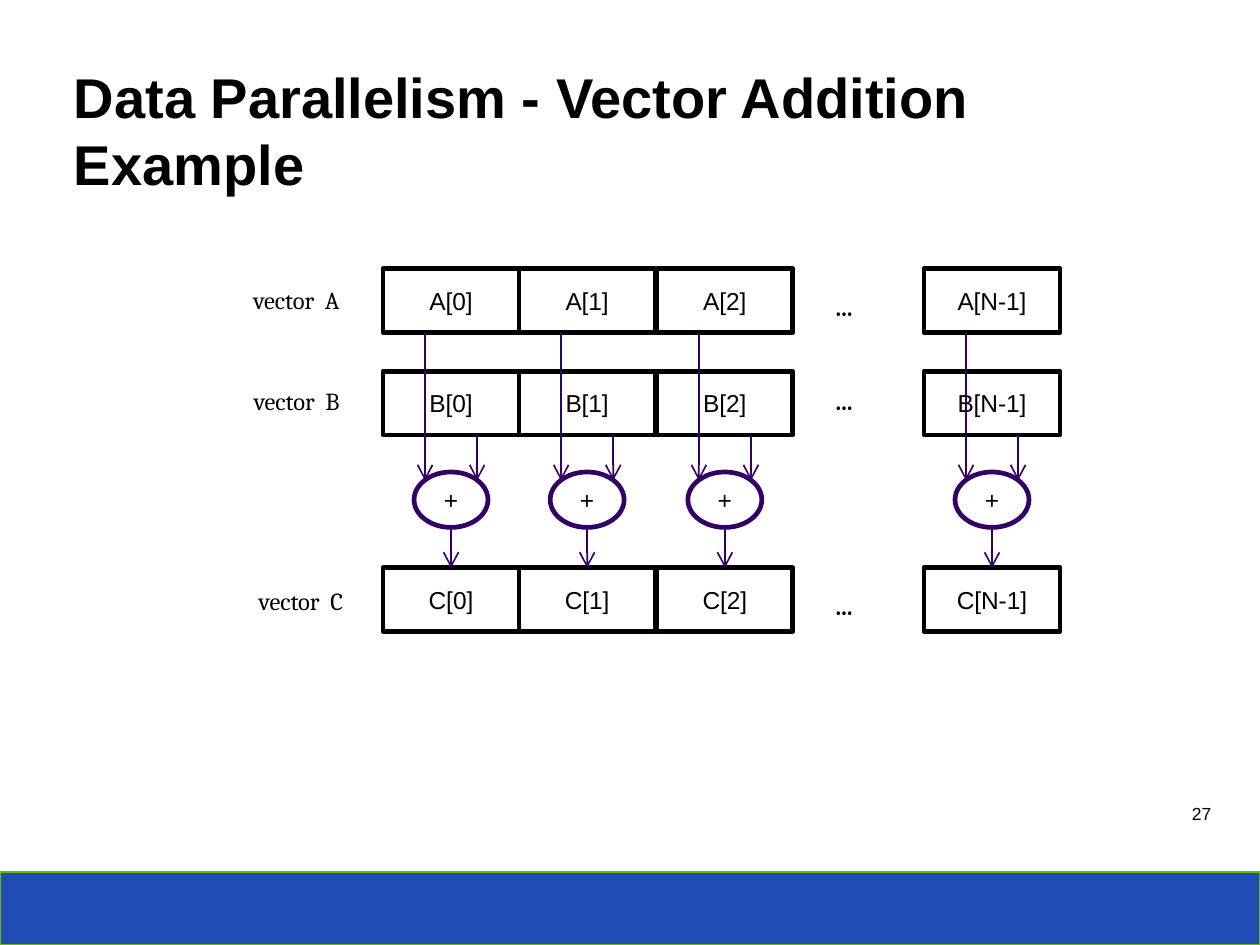
import pptx
import pptx.util
import pptx.dml.color
import pptx.enum.shapes
import pptx.enum.text
import pptx.oxml

Inches, Pt = pptx.util.Inches, pptx.util.Pt
RGBColor = pptx.dml.color.RGBColor
SHAPE = pptx.enum.shapes.MSO_SHAPE
STRAIGHT = pptx.enum.shapes.MSO_CONNECTOR.STRAIGHT
ALIGN = pptx.enum.text.PP_ALIGN
ANCHOR = pptx.enum.text.MSO_ANCHOR
AUTO_SIZE = pptx.enum.text.MSO_AUTO_SIZE

BLACK = RGBColor(0x00, 0x00, 0x00)
WHITE = RGBColor(0xFF, 0xFF, 0xFF)
PURPLE = RGBColor(0x33, 0x00, 0x66)
BLUE = RGBColor(0x20, 0x4D, 0xB5)
GREEN = RGBColor(0x72, 0xB4, 0x00)

SLIDE_W = 7.5
SLIDE_H = SLIDE_W * 3 / 4
CELL_W, CELL_H = 0.81, 0.38
ADDER_W, ADDER_H = 0.44, 0.33
ADDER_TOP = 2.81
INPUT_GAP = 0.31  # between the two input arrows of an adder
INPUT_END = 2.86
COLUMNS = {"0": 2.28, "1": 3.09, "2": 3.91, "N-1": 5.5}
# vector name: (cell top, label left, label top, ellipsis top)
VECTORS = {
    "A": (1.6, 1, 1.65, 1.69),
    "B": (2.21, 1, 2.25, 2.25),
    "C": (3.38, 1.02, 3.44, 3.47),
}


def set_text(tf, text, size=10.5, font="Arial", bold=False, align=ALIGN.LEFT,
             anchor=ANCHOR.TOP, wrap=True):
    tf.word_wrap = wrap
    tf.vertical_anchor = anchor
    p = tf.paragraphs[0]
    p.alignment = align
    r = p.add_run()
    r.text = text
    r.font.size = Pt(size)
    r.font.name = font
    r.font.bold = bold
    r.font.color.rgb = BLACK
    return p


def add_box(s, kind, left, top, width, height, fill, line, weight, text=""):
    sp = s.shapes.add_shape(kind, Inches(left), Inches(top), Inches(width), Inches(height))
    sp.shadow.inherit = False
    sp.fill.solid()
    sp.fill.fore_color.rgb = fill
    sp.line.color.rgb = line
    sp.line.width = Pt(weight)
    if text:
        set_text(sp.text_frame, text, align=ALIGN.CENTER, anchor=ANCHOR.MIDDLE)
    return sp


def add_label(s, text, left, top, width, height, **style):
    sp = s.shapes.add_textbox(Inches(left), Inches(top), Inches(width), Inches(height))
    sp.text_frame.auto_size = AUTO_SIZE.NONE
    set_text(sp.text_frame, text, **style)


def add_arrow(s, x, top, bottom, target=None):
    """Draw a downward arrow, joined to the top of target if there is one."""
    c = s.shapes.add_connector(STRAIGHT, Inches(x), Inches(top), Inches(x), Inches(bottom))
    if target is not None:
        c.end_connect(target, 0)
    c.line.color.rgb = PURPLE
    c.line.width = Pt(0.75)
    tail = pptx.oxml.parse_xml(
        '<a:tailEnd xmlns:a="http://schemas.openxmlformats.org/drawingml/2006/main" type="arrow"/>')
    c.line._get_or_add_ln().append(tail)
    effects = pptx.oxml.parse_xml(
        '<a:effectLst xmlns:a="http://schemas.openxmlformats.org/drawingml/2006/main"/>')
    c._element.spPr.append(effects)


def add_title(s, text):
    title = s.shapes.title
    title.left, title.top = Inches(0.34), Inches(0.32)
    title.width, title.height = Inches(6.82), Inches(0.48)
    tf = title.text_frame
    tf.auto_size = AUTO_SIZE.NONE
    p = set_text(tf, text, size=24, bold=True)
    p.line_spacing = Pt(28.8)


def add_vector(s, name):
    """Draw one row and return its cells by index."""
    top, label_left, label_top, dots_top = VECTORS[name]
    add_label(s, f"vector  {name}", label_left, label_top, 1.12, 0.28,
              font="Cambria", align=ALIGN.RIGHT)
    add_label(s, "…", 4.87, dots_top, 0.35, 0.28, font="Cambria", bold=True, wrap=False)
    return {
        index: add_box(s, SHAPE.RECTANGLE, left, top, CELL_W, CELL_H,
                       WHITE, BLACK, 2, f"{name}[{index}]")
        for index, left in COLUMNS.items()
    }


def add_adder(s, left, result):
    """Draw the sum of one column, with its two inputs and its output."""
    x = left + CELL_W / 2
    add_box(s, SHAPE.OVAL, x - ADDER_W / 2, ADDER_TOP, ADDER_W, ADDER_H,
            WHITE, PURPLE, 2, "+")
    add_arrow(s, x - INPUT_GAP / 2, VECTORS["A"][0] + CELL_H, INPUT_END)
    add_arrow(s, x + INPUT_GAP / 2, VECTORS["B"][0] + CELL_H, INPUT_END)
    add_arrow(s, x, ADDER_TOP + ADDER_H, VECTORS["C"][0], result)


def main():
    prs = pptx.Presentation()
    prs.slide_width, prs.slide_height = Inches(SLIDE_W), Inches(SLIDE_H)
    s = prs.slides.add_slide(prs.slide_layouts[5])
    add_box(s, SHAPE.RECTANGLE, 0, 5.19, SLIDE_W, SLIDE_H - 5.19, BLUE, GREEN, 0.75)
    add_title(s, "Data Parallelism - Vector Addition Example")
    rows = {name: add_vector(s, name) for name in VECTORS}
    for index, left in COLUMNS.items():
        add_adder(s, left, rows["C"][index])
    add_label(s, "27", 5.75, 4.73, 1.56, 0.38, size=7.5, align=ALIGN.RIGHT)
    prs.save("out.pptx")


if __name__ == "__main__":
    main()
